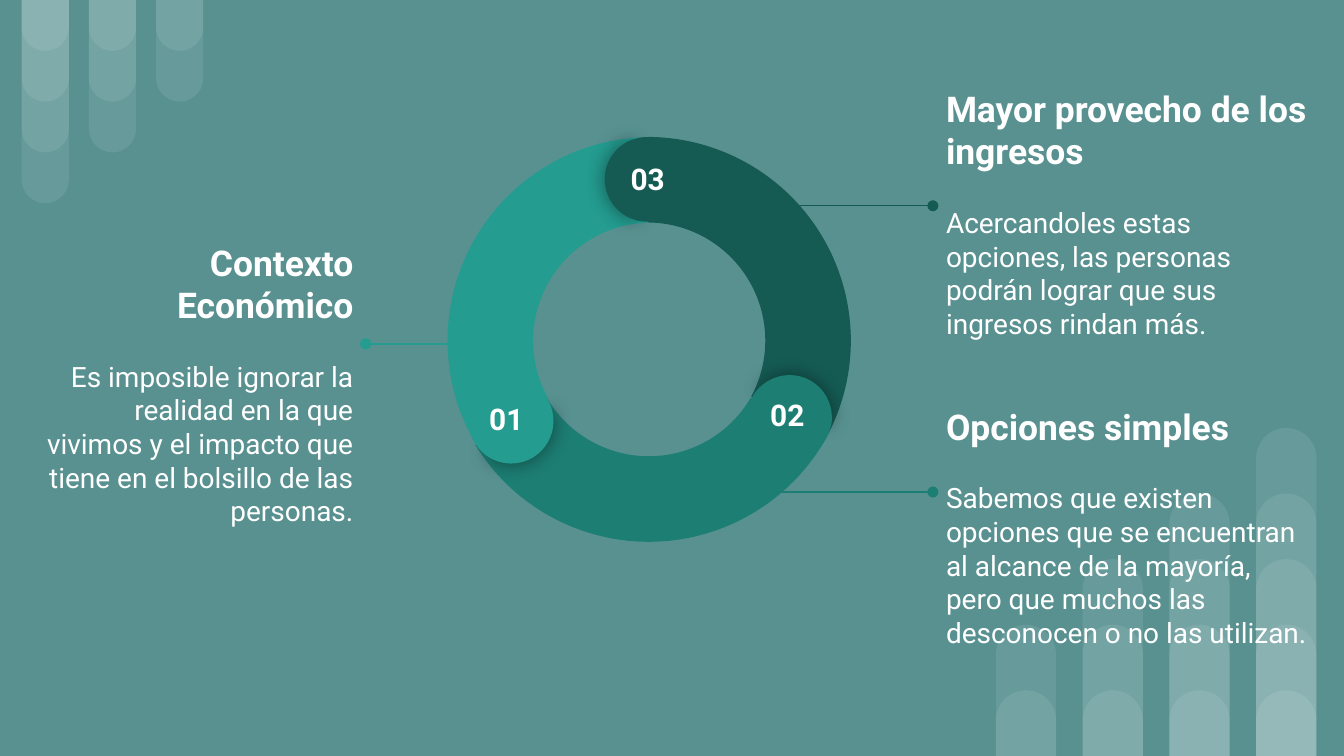
from dataclasses import dataclass

from lxml.etree import SubElement
from pptx import Presentation
from pptx.dml.color import RGBColor
from pptx.enum.shapes import MSO_CONNECTOR as Connector, MSO_SHAPE as Preset
from pptx.enum.text import MSO_ANCHOR as Anchor, PP_ALIGN as Align
from pptx.oxml.ns import qn
from pptx.util import Cm, Pt

COLORS = {
    "background": "599191",
    "white": "FFFFFF",
    "light": "249C90",
    "medium": "1D7E74",
    "dark": "155B54",
    "shadow": "000000",
}
FONT = "Roboto"
SLIDE_WIDTH, SLIDE_HEIGHT = 25.4, 14.29
ARC_SIZE, CAP_SIZE = 7.7, 1.6
INSET = 0.25


@dataclass
class Stage:
    number: str
    color: str
    heading: str
    detail: str
    align: Align
    text_box: tuple[float, float, float, float]
    leader_y: float
    leader_x: tuple[float, float]
    arc_at: tuple[float, float]
    arc_turn: float
    cap_at: tuple[float, float]
    cap_turn: float
    number_at: tuple[float, float]


STAGES = [
    Stage("01", "light", "Contexto Económico",
          "Es imposible ignorar la realidad en la que vivimos y el impacto que "
          "tiene en el bolsillo de las personas.",
          Align.RIGHT, (0.48, 4.34, 6.45, 5.84), 6.5, (8.69, 6.91),
          (8.46, 2.59), 300, (8.86, 7.16), 240, (8.86, 7.32)),
    Stage("03", "dark", "Mayor provecho de los ingresos",
          "Acercandoles estas opciones, las personas podrán lograr que sus "
          "ingresos rindan más.",
          Align.LEFT, (17.63, 1.42, 7.37, 5.23), 3.89, (14.05, 17.63),
          (8.38, 2.59), 60, (11.43, 2.59), 0, (11.53, 2.79)),
    Stage("02", "medium", "Opciones simples",
          "Sabemos que existen opciones que se encuentran al alcance de la "
          "mayoría, pero que muchos las desconocen o no las utilizan.",
          Align.LEFT, (17.63, 7.14, 7.37, 5.64), 9.3, (14.05, 17.63),
          (8.41, 2.54), 180, (14.12, 7.09), 120, (14.17, 7.24)),
]


def rgb(name: str) -> RGBColor:
    return RGBColor.from_string(COLORS[name])


def add_preset(slide, preset, left: float, top: float, width: float, height: float,
               color: str, turn: float, adjustments: tuple[float, ...]):
    shape = slide.shapes.add_shape(preset, Cm(left), Cm(top), Cm(width), Cm(height))
    shape.rotation = turn
    for index, value in enumerate(adjustments):
        shape.adjustments[index] = value
    shape.fill.solid()
    shape.fill.fore_color.rgb = rgb(color)
    shape.line.fill.background()
    shape.shadow.inherit = False
    return shape


def add_bar(slide, left: float, top: float, width: float, height: float, turn: float) -> None:
    bar = add_preset(slide, Preset.ROUND_2_SAME_RECTANGLE, left, top, width, height,
                     "white", turn, (0.5, 0))
    tint = bar.fill._xPr.find(".//" + qn("a:srgbClr"))
    SubElement(tint, qn("a:alpha"), val="9000")


def add_bars(slide) -> None:
    for column in range(3):
        for level in range(1, 5 - column):
            add_bar(slide, 0.41 + 1.27 * column, 0, 0.89, 0.96 * level, 180)
    for column in range(4):
        for level in range(1, column + 3):
            height = 1.24 * level
            add_bar(slide, 18.82 + 1.64 * column, SLIDE_HEIGHT - height, 1.14, height, 0)


def add_text(slide, box: tuple[float, float, float, float], anchor: Anchor, align: Align,
             lines: list[tuple[str, float, bool, float]]) -> None:
    frame = slide.shapes.add_textbox(*map(Cm, box)).text_frame
    frame.word_wrap = True
    frame.vertical_anchor = anchor
    frame.margin_left = frame.margin_right = Cm(INSET)
    frame.margin_top = frame.margin_bottom = Cm(INSET)
    for index, (text, size, bold, space_after) in enumerate(lines):
        paragraph = frame.add_paragraph() if index else frame.paragraphs[0]
        paragraph.text = text
        paragraph.alignment = align
        paragraph.space_after = Pt(space_after)
        paragraph.font.name = FONT
        paragraph.font.size = Pt(size)
        paragraph.font.bold = bold
        paragraph.font.color.rgb = rgb("white")


def add_leader(slide, stage: Stage) -> None:
    start, end = stage.leader_x
    leader = slide.shapes.add_connector(Connector.STRAIGHT, Cm(start), Cm(stage.leader_y),
                                        Cm(end), Cm(stage.leader_y))
    leader.line.color.rgb = rgb(stage.color)
    leader.line.width = Pt(0.75)
    SubElement(leader.line._get_or_add_ln(), qn("a:tailEnd"), type="oval")
    SubElement(leader._element.spPr, qn("a:effectLst"))


def add_cap(slide, stage: Stage) -> None:
    size = (CAP_SIZE, CAP_SIZE)
    shaded = add_preset(slide, Preset.PIE, *stage.cap_at, *size, stage.color,
                        stage.cap_turn, (61.9, 149.96))
    effects = shaded._element.spPr.find(qn("a:effectLst"))
    shadow = SubElement(effects, qn("a:outerShdw"), blurRad=str(Pt(11.2)), dist="0",
                        dir="0", algn="ctr", rotWithShape="0")
    tint = SubElement(shadow, qn("a:srgbClr"), val=COLORS["shadow"])
    SubElement(tint, qn("a:alpha"), val="43000")
    add_preset(slide, Preset.PIE, *stage.cap_at, *size, stage.color,
               (stage.cap_turn + 180) % 360, (40.28, 171.84))


def main() -> None:
    deck = Presentation()
    deck.slide_width, deck.slide_height = Cm(SLIDE_WIDTH), Cm(SLIDE_HEIGHT)
    slide = deck.slides.add_slide(deck.slide_layouts[6])
    slide.background.fill.solid()
    slide.background.fill.fore_color.rgb = rgb("background")

    add_bars(slide)
    for stage in STAGES:
        add_text(slide, stage.text_box, Anchor.MIDDLE, stage.align,
                 [(stage.heading, 19, True, 18), (stage.detail, 15, False, 16)])
        add_leader(slide, stage)
    for stage in STAGES:
        add_preset(slide, Preset.BLOCK_ARC, *stage.arc_at, ARC_SIZE, ARC_SIZE,
                   stage.color, stage.arc_turn, (126.23, 197, 0.21))
    for stage in STAGES:
        add_cap(slide, stage)
        add_text(slide, (*stage.number_at, 1.42, 0.74), Anchor.TOP, Align.CENTER,
                 [(stage.number, 16, True, 0)])
    deck.save("out.pptx")


if __name__ == "__main__":
    main()
